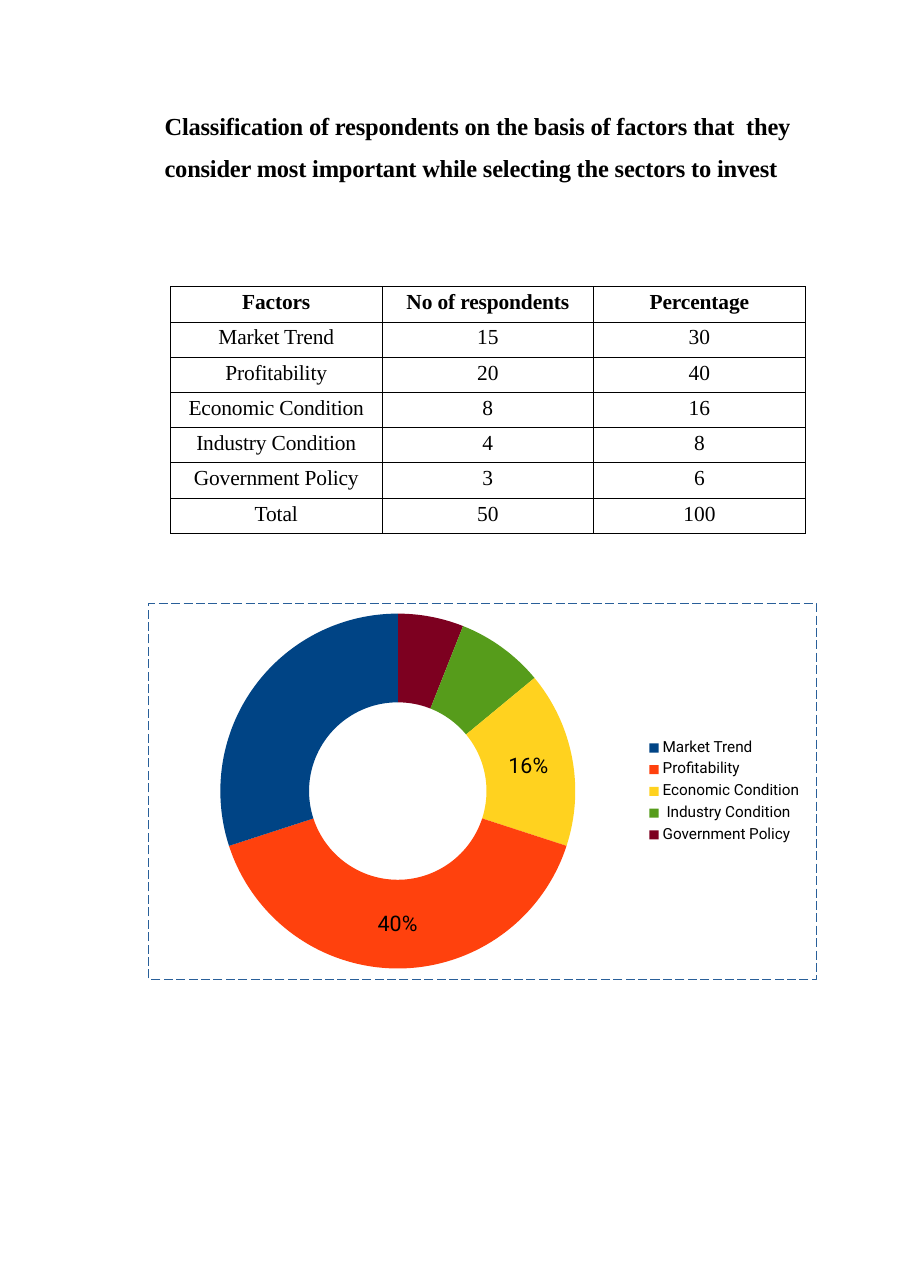
from lxml import etree
from pptx import Presentation
from pptx.chart.data import CategoryChartData
from pptx.dml.color import RGBColor
from pptx.enum.chart import XL_CHART_TYPE
from pptx.enum.dml import MSO_LINE
from pptx.enum.shapes import MSO_SHAPE
from pptx.enum.text import MSO_ANCHOR, PP_ALIGN
from pptx.oxml import parse_xml
from pptx.oxml.ns import nsdecls, qn
from pptx.util import Pt

DOUGHNUT = XL_CHART_TYPE.DOUGHNUT
LONG_DASH = MSO_LINE.LONG_DASH
RECTANGLE = MSO_SHAPE.RECTANGLE
TOP = MSO_ANCHOR.TOP
LEFT, CENTER = PP_ALIGN.LEFT, PP_ALIGN.CENTER

COLORS = {
    "text": "000000",
    "frame": "295F99",
    "Market Trend": "004485",
    "Profitability": "FF410D",
    "Economic Condition": "FFD21F",
    "Industry Condition": "569C1B",
    "Government Policy": "7D0020",
}
SERIF, SANS = "Times New Roman", "Roboto"

TITLE = ("Classification of respondents on the basis of factors that  they "
         "consider most important while selecting the sectors to invest")
HEADER = ("Factors", "No of respondents", "Percentage")
FACTORS = [
    ("Market Trend", 15, 30),
    ("Profitability", 20, 40),
    ("Economic Condition", 8, 16),
    ("Industry Condition", 4, 8),
    ("Government Policy", 3, 6),
]
TOTAL = ("Total", 50, 100)
LABELLED = ("Profitability", "Economic Condition")
LEGEND_STEP = 14.2


class Page:
    def __init__(self, slide):
        self.slide = slide

    def color(self, name):
        return RGBColor.from_string(COLORS[name])

    def style_font(self, font, name, size, bold=False):
        font.name = name
        font.size = Pt(size)
        font.bold = bold
        font.color.rgb = self.color("text")

    def style_paragraph(self, paragraph, name, size, bold=False, align=LEFT, tracking=0):
        paragraph.alignment = align
        self.style_font(paragraph.font, name, size, bold)
        paragraph._p.pPr.defRPr.set("spc", str(tracking))

    def text(self, lines, left, top, width, height, name, size, spacing, bold=False, tracking=0):
        box = self.slide.shapes.add_textbox(Pt(left), Pt(top), Pt(width), Pt(height))
        frame = box.text_frame
        frame.word_wrap = True
        frame.margin_left = frame.margin_right = frame.margin_top = frame.margin_bottom = 0
        frame.text = "\n".join(lines)
        for paragraph in frame.paragraphs:
            self.style_paragraph(paragraph, name, size, bold, tracking=tracking)
            paragraph.line_spacing = spacing

    def rectangle(self, left, top, width, height, fill=None, line=None):
        shape = self.slide.shapes.add_shape(RECTANGLE, Pt(left), Pt(top), Pt(width), Pt(height))
        shape.shadow.inherit = False
        if fill:
            shape.fill.solid()
            shape.fill.fore_color.rgb = self.color(fill)
        else:
            shape.fill.background()
        if line:
            shape.line.color.rgb = self.color(line)
            shape.line.width = Pt(0.75)
            shape.line.dash_style = LONG_DASH
        else:
            shape.line.fill.background()

    def border(self, cell):
        properties = cell._tc.get_or_add_tcPr()
        for side in ("lnL", "lnR", "lnT", "lnB"):
            line = etree.SubElement(properties, qn(f"a:{side}"), w=str(Pt(0.5)))
            fill = etree.SubElement(line, qn("a:solidFill"))
            etree.SubElement(fill, qn("a:srgbClr"), val=COLORS["text"])

    def table(self, rows, left, top, column_width, row_height):
        columns = len(rows[0])
        table = self.slide.shapes.add_table(
            len(rows), columns, Pt(left), Pt(top),
            Pt(column_width * columns), Pt(row_height * len(rows))).table
        table.first_row = table.horz_banding = False
        for column in table.columns:
            column.width = Pt(column_width)
        for row_index, values in enumerate(rows):
            table.rows[row_index].height = Pt(row_height)
            for column_index, value in enumerate(values):
                cell = table.cell(row_index, column_index)
                cell.text = str(value)
                cell.margin_left = cell.margin_right = cell.margin_bottom = 0
                cell.margin_top = Pt(2.6)
                cell.vertical_anchor = TOP
                self.border(cell)
                cell.fill.background()
                tracking = -10 if isinstance(value, str) else 0
                self.style_paragraph(cell.text_frame.paragraphs[0], SERIF, 14,
                                     row_index == 0, CENTER, tracking)

    def doughnut(self, shares, left, top, size):
        data = CategoryChartData(number_format="0%")
        data.categories = [name for name, share in shares]
        data.add_series("Percentage", [share / 100 for name, share in shares])
        chart = self.slide.shapes.add_chart(
            DOUGHNUT, Pt(left), Pt(top), Pt(size), Pt(size), data).chart
        chart.has_legend = False
        chart.has_title = False
        self.style_font(chart.font, SANS, 14)
        series = chart.plots[0].series[0]
        series.data_labels.show_value = False
        for index, (name, share) in enumerate(shares):
            point = series.points[index]
            point.format.fill.solid()
            point.format.fill.fore_color.rgb = self.color(name)
            point.format.line.fill.background()
            if name in LABELLED:
                self.style_font(point.data_label.font, SANS, 14)
        plot_area = chart._chartSpace.chart.plotArea
        for layout in plot_area.findall(qn("c:layout")):
            plot_area.remove(layout)
        plot_area.insert(0, parse_xml(
            f'<c:layout {nsdecls("c")}><c:manualLayout><c:layoutTarget val="inner"/>'
            '<c:xMode val="edge"/><c:yMode val="edge"/><c:x val="0"/><c:y val="0"/>'
            '<c:w val="1"/><c:h val="1"/></c:manualLayout></c:layout>'))

    def legend(self, names, left, top):
        for index, name in enumerate(names):
            self.rectangle(left, top + index * LEGEND_STEP, 6, 6, fill=name)
        lines = [f" {name}" if name == "Industry Condition" else name for name in names]
        self.text(lines, left + 8.6, top - 6.5, 95, LEGEND_STEP * len(names),
                  SANS, 10, Pt(LEGEND_STEP))


def main():
    presentation = Presentation()
    presentation.slide_width = Pt(594.72)
    presentation.slide_height = Pt(841.68)
    page = Page(presentation.slides.add_slide(presentation.slide_layouts[6]))
    page.text([TITLE], 107.6, 64, 424, 54, SERIF, 16, 1.44, bold=True, tracking=-10)
    page.table([HEADER, *FACTORS, TOTAL], 111.4, 187.3, 138.3, 23.04)
    page.doughnut([(name, share) for name, count, share in reversed(FACTORS)], 144, 401, 232)
    page.legend([name for name, count, share in FACTORS], 424.5, 485.8)
    page.rectangle(97.3, 394.5, 436.5, 245.5, line="frame")
    presentation.save("out.pptx")


if __name__ == "__main__":
    main()
